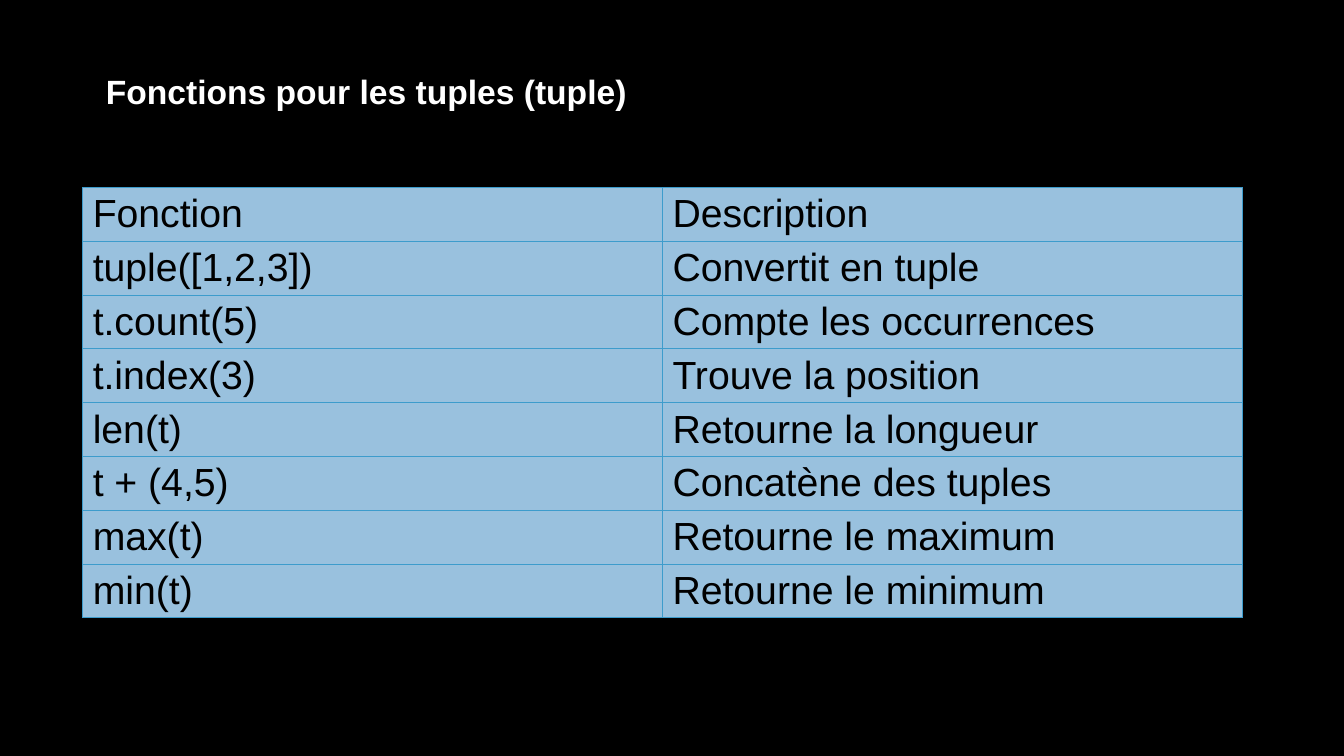
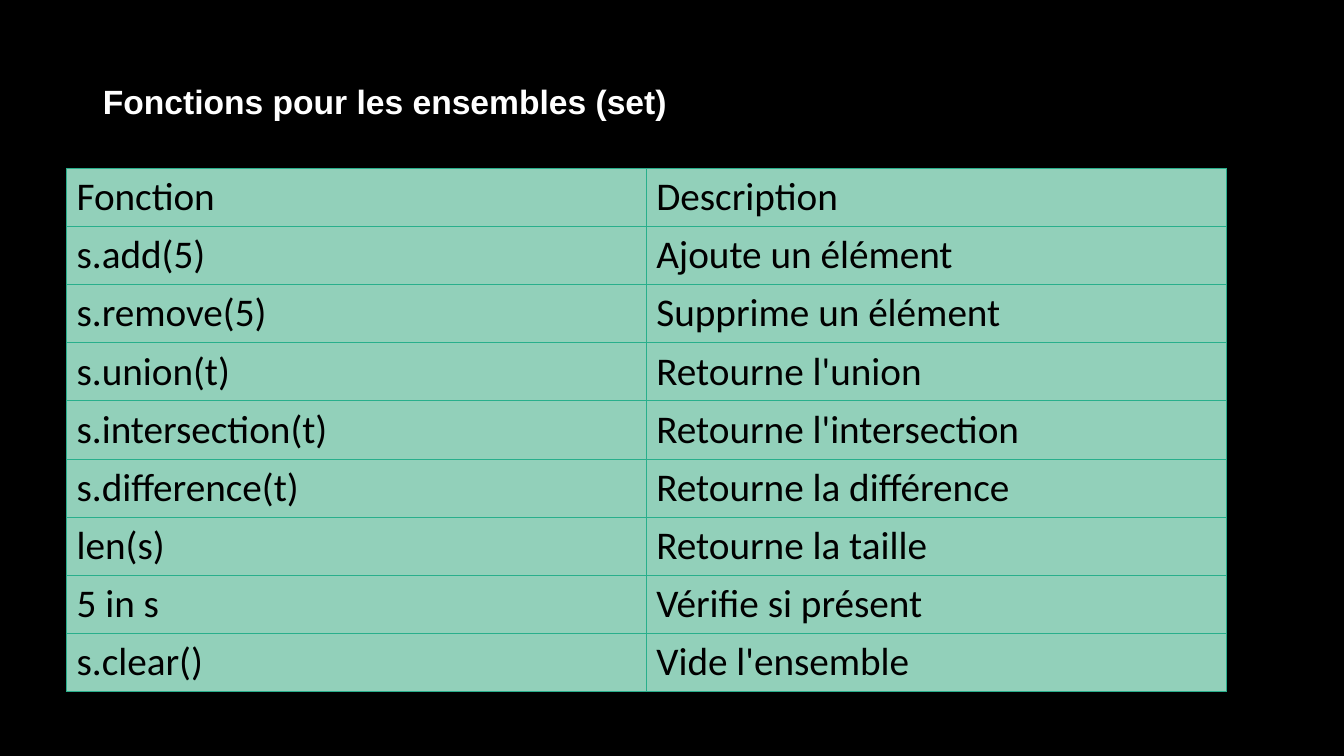
from lxml.etree import SubElement
from pptx import Presentation
from pptx.dml.color import RGBColor
from pptx.enum.text import MSO_ANCHOR, MSO_AUTO_SIZE, PP_ALIGN
from pptx.oxml.ns import qn
from pptx.util import Inches, Pt

BLACK = RGBColor(0x00, 0x00, 0x00)
WHITE = RGBColor(0xFF, 0xFF, 0xFF)
BLUE_FILL = RGBColor(0x99, 0xC1, 0xDE)
BLUE_LINE = RGBColor(0x3D, 0x9C, 0xCC)
GREEN_FILL = RGBColor(0x92, 0xD0, 0xBA)
GREEN_LINE = RGBColor(0x29, 0xAF, 0x8C)

TITLE_FONT = {"name": "Arial", "size": Pt(24), "bold": True}
CELL_FONT = {"size": Pt(28), "bold": False}
TITLE_FRAME = {"word_wrap": True, "auto_size": MSO_AUTO_SIZE.NONE,
               "vertical_anchor": MSO_ANCHOR.MIDDLE}
HEADER = ("Fonction", "Description")

SLIDES = [
    {
        "title": "Fonctions pour les tuples (tuple)",
        "title_box": (0.95, 0.65, 6.56, 0.5),
        "table_box": (0.82, 1.86, 11.5, 4.27),
        "style": {"font": "Arial", "fill": BLUE_FILL, "line": BLUE_LINE,
                  "margin": 0.04},
        "rows": [
            ("tuple([1,2,3])", "Convertit en tuple"),
            ("t.count(5)", "Compte les occurrences"),
            ("t.index(3)", "Trouve la position"),
            ("len(t)", "Retourne la longueur"),
            ("t + (4,5)", "Concatène des tuples"),
            ("max(t)", "Retourne le maximum"),
            ("min(t)", "Retourne le minimum"),
        ],
    },
    {
        "title": "Fonctions pour les ensembles (set)",
        "title_box": (0.92, 0.75, 6.9, 0.5),
        "table_box": (0.66, 1.67, 11.5, 5.19),
        "style": {"font": "Calibri", "fill": GREEN_FILL, "line": GREEN_LINE,
                  "margin": 0.05},
        "rows": [
            ("s.add(5)", "Ajoute un élément"),
            ("s.remove(5)", "Supprime un élément"),
            ("s.union(t)", "Retourne l'union"),
            ("s.intersection(t)", "Retourne l'intersection"),
            ("s.difference(t)", "Retourne la différence"),
            ("len(s)", "Retourne la taille"),
            ("5 in s", "Vérifie si présent"),
            ("s.clear()", "Vide l'ensemble"),
        ],
    },
]


def set_attrs(obj, values):
    for name, value in values.items():
        setattr(obj, name, value)


def add_title(s, text, box):
    sp = s.shapes.title
    set_attrs(sp, dict(zip(("left", "top", "width", "height"),
                           map(Inches, box))))
    tf = sp.text_frame
    tf.text = text
    set_attrs(tf, TITLE_FRAME)
    p = tf.paragraphs[0]
    p.alignment = PP_ALIGN.LEFT
    r = p.runs[0]
    set_attrs(r.font, TITLE_FONT)
    r.font.color.rgb = WHITE


def add_borders(cell, color):
    tc_pr = cell._tc.get_or_add_tcPr()
    for side in ("a:lnL", "a:lnR", "a:lnT", "a:lnB"):
        ln = SubElement(tc_pr, qn(side), w=str(Pt(0.5)))
        fill = SubElement(ln, qn("a:solidFill"))
        SubElement(fill, qn("a:srgbClr"), val=str(color))


def format_cell(cell, text, style):
    margin = Inches(style["margin"])
    cell.text = text
    set_attrs(cell, {"margin_top": margin, "margin_bottom": margin,
                     "vertical_anchor": MSO_ANCHOR.MIDDLE})
    add_borders(cell, style["line"])
    cell.fill.solid()
    cell.fill.fore_color.rgb = style["fill"]
    r = cell.text_frame.paragraphs[0].runs[0]
    set_attrs(r.font, {**CELL_FONT, "name": style["font"]})
    r.font.color.rgb = BLACK


def add_function_table(s, rows, box, style):
    rows = [HEADER, *rows]
    table = s.shapes.add_table(len(rows), len(HEADER),
                               *map(Inches, box)).table
    set_attrs(table, {"first_row": False, "horz_banding": False})
    for i, row in enumerate(rows):
        for j, text in enumerate(row):
            format_cell(table.cell(i, j), text, style)


def add_function_slide(prs, content):
    s = prs.slides.add_slide(prs.slide_layouts.get_by_name("Title Only"))
    add_function_table(s, content["rows"], content["table_box"],
                       content["style"])
    add_title(s, content["title"], content["title_box"])


def main():
    prs = Presentation()
    prs.slide_width = Inches(13.33)
    prs.slide_height = Inches(7.5)
    background = prs.slide_master.background.fill
    background.solid()
    background.fore_color.rgb = BLACK
    for content in SLIDES:
        add_function_slide(prs, content)
    prs.save("out.pptx")


if __name__ == "__main__":
    main()
